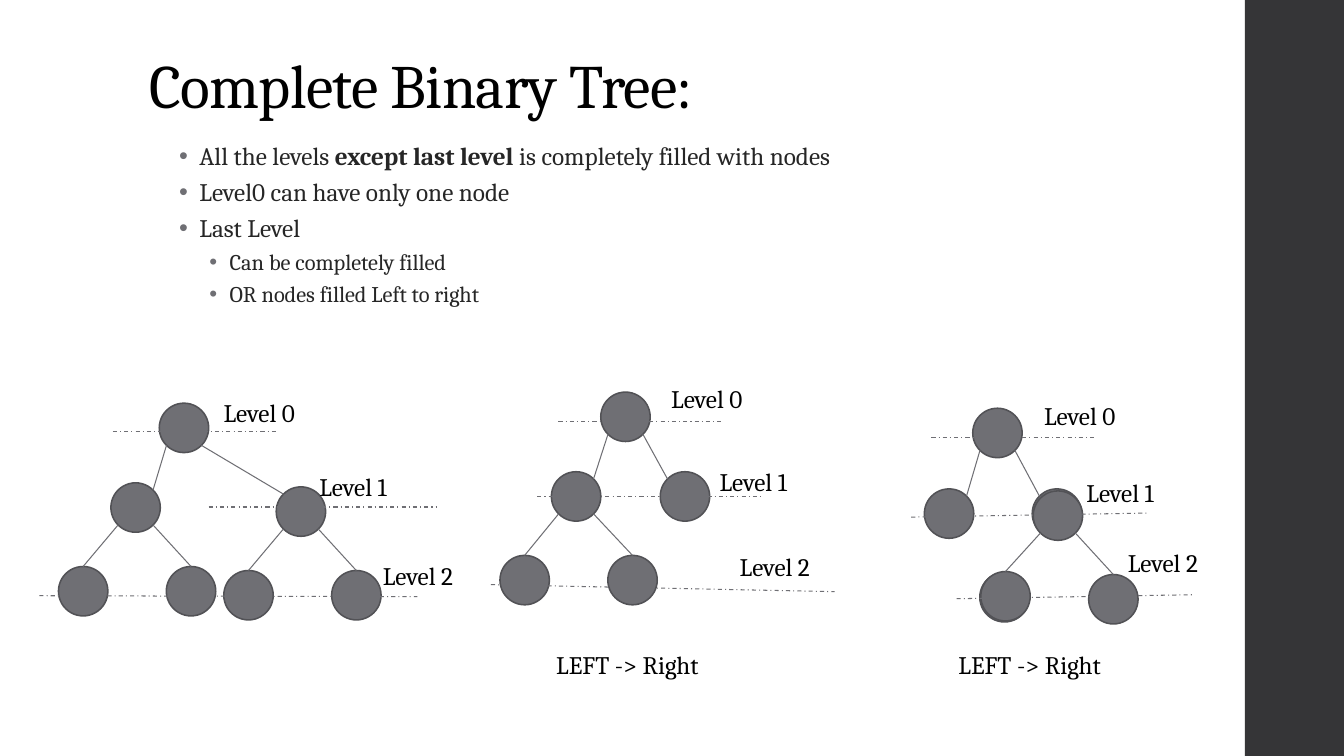
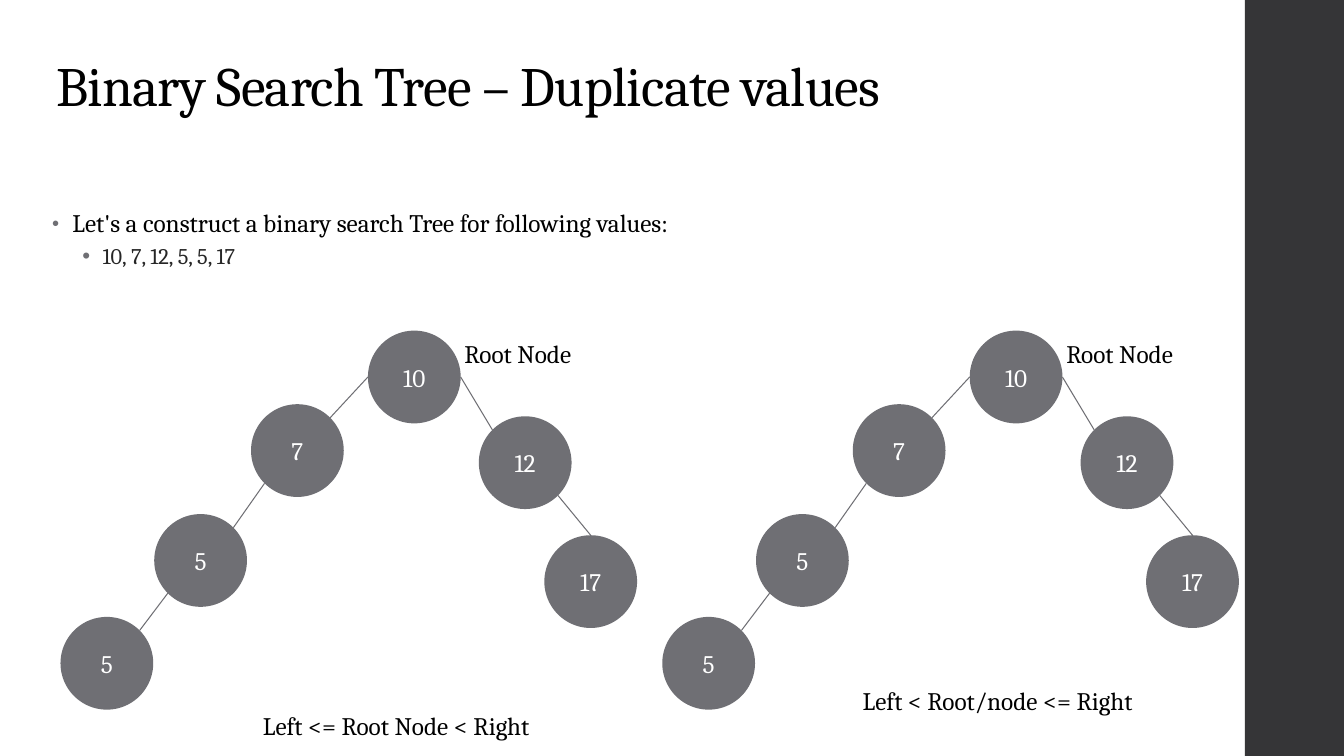
from dataclasses import dataclass
from enum import Enum
from math import cos, radians, sin

from lxml import etree
from pptx import Presentation
from pptx import util as u
from pptx.dml.color import RGBColor
from pptx.enum import dml, shapes, text
from pptx.oxml import ns

FONT = "Cambria"
BLACK = RGBColor(0x00, 0x00, 0x00)
WHITE = RGBColor(0xFF, 0xFF, 0xFF)
INK = RGBColor(0x26, 0x26, 0x26)
GRAY = RGBColor(0x6F, 0x6F, 0x74)
RIM = RGBColor(0x52, 0x52, 0x56)
BAND = RGBColor(0x35, 0x35, 0x37)

CELL = u.Inches(0.1)  # side of one grid square
COLUMNS, ROWS = 133.33, 75
BAND_COLUMN = 123.5
LABEL_HEIGHT = 4


class Site(Enum):
    """Points on a circle, as degrees clockwise from the right."""
    RIGHT = 0
    LOWER_RIGHT = 45
    LOWER_LEFT = 135
    LEFT = 180
    UPPER_LEFT = 225
    TOP = 270
    UPPER_RIGHT = 315


@dataclass(frozen=True)
class Node:
    column: float
    row: float
    value: str = ""


@dataclass(frozen=True)
class Edge:
    parent: int
    child: int
    leave: Site
    arrive: Site


@dataclass(frozen=True)
class Label:
    words: str
    column: float
    row: float
    width: float = 12


@dataclass(frozen=True)
class LevelLine:
    start: tuple[float, float]
    end: tuple[float, float]


@dataclass(frozen=True)
class Tree:
    nodes: tuple[Node, ...]
    edges: tuple[Edge, ...]
    labels: tuple[Label, ...]
    lines: tuple[LevelLine, ...] = ()


@dataclass(frozen=True)
class NodeStyle:
    diameter: float
    rim: float = 0


@dataclass(frozen=True)
class Bullet:
    runs: tuple[tuple[str, bool], ...]  # words, bold
    indent: float
    size: float = 18
    color: RGBColor = INK
    line_spacing: float = 0.9
    after: float = 3
    mark_percent: int = 100


def grid(cells: float) -> int:
    return u.Emu(round(cells * CELL))


def style_font(paragraph, size: float, color: RGBColor, spacing: int = 0) -> None:
    font = paragraph.font
    font.name, font.size, font.color.rgb = FONT, u.Pt(size), color
    if spacing:
        paragraph._p.get_or_add_pPr().get_or_add_defRPr().set("spc", str(spacing))


def add_titled_slide(deck, title: str, column: float, row: float, size: float):
    slide = deck.slides.add_slide(deck.slide_layouts[5])
    heading = slide.shapes.title
    heading.left, heading.top = grid(column), grid(row)
    heading.width, heading.height = grid(106), grid(8.6)
    frame = heading.text_frame
    frame.text = title
    frame.auto_size = text.MSO_AUTO_SIZE.NONE
    frame.vertical_anchor = text.MSO_ANCHOR.BOTTOM
    paragraph = frame.paragraphs[0]
    paragraph.alignment = text.PP_ALIGN.LEFT
    paragraph.line_spacing = 0.9
    style_font(paragraph, size, BLACK, spacing=-50)

    band = slide.shapes.add_shape(
        shapes.MSO_SHAPE.RECTANGLE, grid(BAND_COLUMN), 0,
        grid(COLUMNS - BAND_COLUMN), grid(ROWS))
    band.shadow.inherit = False
    band.fill.solid()
    band.fill.fore_color.rgb = BAND
    band.line.fill.background()
    return slide


def add_bullets(slide, column: float, row: float, width: float, height: float,
                bullets: tuple[Bullet, ...]) -> None:
    frame = slide.shapes.add_textbox(
        grid(column), grid(row), grid(width), grid(height)).text_frame
    frame.word_wrap = True
    for index, bullet in enumerate(bullets):
        paragraph = frame.add_paragraph() if index else frame.paragraphs[0]
        paragraph.line_spacing = bullet.line_spacing
        paragraph.space_before = u.Pt(3)
        paragraph.space_after = u.Pt(bullet.after)
        properties = paragraph._p.get_or_add_pPr()
        properties.set("marL", str(grid(bullet.indent)))
        properties.set("indent", str(-grid(2)))
        mark_color = etree.SubElement(properties, ns.qn("a:buClr"))
        etree.SubElement(mark_color, ns.qn("a:srgbClr"), val=str(GRAY))
        etree.SubElement(properties, ns.qn("a:buSzPct"),
                         val=str(bullet.mark_percent * 1000))
        etree.SubElement(properties, ns.qn("a:buFont"), typeface="Arial")
        etree.SubElement(properties, ns.qn("a:buChar"), char="•")
        style_font(paragraph, bullet.size, bullet.color)
        for words, bold in bullet.runs:
            run = paragraph.add_run()
            run.text = words
            if bold:
                run.font.bold = True


def add_label(slide, label: Label) -> None:
    frame = slide.shapes.add_textbox(
        grid(label.column), grid(label.row),
        grid(label.width), grid(LABEL_HEIGHT)).text_frame
    frame.word_wrap = True
    frame.text = label.words
    style_font(frame.paragraphs[0], 18, BLACK)


def add_line(slide, start: tuple[float, float], end: tuple[float, float]):
    line = slide.shapes.add_connector(
        shapes.MSO_CONNECTOR.STRAIGHT, *map(grid, (*start, *end)))
    line.line.color.rgb = GRAY
    line.line.width = u.Pt(0.75)
    etree.SubElement(line._element.spPr, ns.qn("a:effectLst"))
    return line


def add_node(slide, node: Node, style: NodeStyle) -> None:
    circle = slide.shapes.add_shape(
        shapes.MSO_SHAPE.OVAL, grid(node.column), grid(node.row),
        grid(style.diameter), grid(style.diameter))
    circle.shadow.inherit = False
    circle.fill.solid()
    circle.fill.fore_color.rgb = GRAY
    if style.rim:
        circle.line.color.rgb = RIM
        circle.line.width = u.Pt(style.rim)
    else:
        circle.line.fill.background()
    if node.value:
        frame = circle.text_frame
        frame.text = node.value
        frame.vertical_anchor = text.MSO_ANCHOR.MIDDLE
        paragraph = frame.paragraphs[0]
        paragraph.alignment = text.PP_ALIGN.CENTER
        style_font(paragraph, 18, WHITE)


def site_point(node: Node, site: Site, diameter: float) -> tuple[float, float]:
    radius, angle = diameter / 2, radians(site.value)
    return (node.column + radius * (1 + cos(angle)),
            node.row + radius * (1 + sin(angle)))


def add_tree(slide, tree: Tree, style: NodeStyle) -> None:
    for node in tree.nodes:
        add_node(slide, node, style)
    for edge in tree.edges:
        add_line(slide,
                 site_point(tree.nodes[edge.parent], edge.leave, style.diameter),
                 site_point(tree.nodes[edge.child], edge.arrive, style.diameter))
    for level in tree.lines:
        add_line(slide, level.start, level.end).line.dash_style = (
            dml.MSO_LINE.DASH_DOT)
    for label in tree.labels:
        add_label(slide, label)


def root_edges(left: int, right: int) -> tuple[Edge, Edge]:
    return (Edge(0, left, Site.LOWER_LEFT, Site.UPPER_RIGHT),
            Edge(0, right, Site.LOWER_RIGHT, Site.UPPER_LEFT))


def leaf_edges(parent: int, left: int, right: int) -> tuple[Edge, Edge]:
    return (Edge(parent, left, Site.LOWER_LEFT, Site.TOP),
            Edge(parent, right, Site.LOWER_RIGHT, Site.TOP))


COMPLETE_TREES = (
    Tree((Node(15.8, 40), Node(11, 47.9), Node(27.4, 48.3), Node(5.8, 56.2),
          Node(16.5, 56.2), Node(22.2, 56.6), Node(32.9, 56.6)),
         root_edges(1, 2) + leaf_edges(1, 3, 4) + leaf_edges(2, 5, 6),
         (Label("Level 0", 21.2, 38.9), Label("Level 1", 30.7, 46.3),
          Label("Level 2", 37, 55.1)),
         (LevelLine((11.2, 42.8), (27.4, 42.8)),
          LevelLine((20.7, 50.3), (43.3, 50.3)),
          LevelLine((3.9, 59.1), (41.4, 59.2)))),
    Tree((Node(59.6, 38.9), Node(54.7, 46.8), Node(65.5, 46.8),
          Node(49.6, 55.1), Node(60.3, 55.1)),
         root_edges(1, 2) + leaf_edges(1, 3, 4),
         (Label("Level 0", 65.6, 37.5), Label("Level 1", 70.4, 45.8),
          Label("Level 2", 72.4, 54.2),
          Label("LEFT -> Right", 54.2, 63.9, 19)),
         (LevelLine((55.4, 41.8), (71.7, 41.8)),
          LevelLine((53.3, 49.3), (75.7, 49.3)),
          LevelLine((48.7, 58), (82.8, 58.7)))),
    Tree((Node(96.5, 40.5), Node(91.7, 48.5), Node(102.4, 48.5),
          Node(97.2, 56.8), Node(102.5, 48.7), Node(97.3, 56.7),
          Node(108, 57)),
         root_edges(1, 2) + leaf_edges(4, 5, 6),
         (Label("Level 0", 102.6, 39.2), Label("Level 1", 106.8, 46.9),
          Label("Level 2", 110.9, 53.8),
          Label("LEFT -> Right", 94.1, 63.9, 19)),
         (LevelLine((92.4, 43.4), (108.6, 43.4)),
          LevelLine((90.4, 51.3), (113.9, 50.9)),
          LevelLine((94.9, 59.4), (118.4, 59)))),
)


def search_tree(shift: float, rule: Label) -> Tree:
    places = (("10", 36.5, 32.8), ("7", 24.9, 40.1), ("12", 47.5, 41.3),
              ("5", 15.3, 51), ("17", 54, 53.1), ("5", 6, 61.2))
    return Tree(
        tuple(Node(column + shift, row, value) for value, column, row in places),
        (Edge(0, 1, Site.LEFT, Site.UPPER_RIGHT),
         Edge(0, 2, Site.RIGHT, Site.UPPER_LEFT),
         Edge(1, 3, Site.LOWER_LEFT, Site.UPPER_RIGHT),
         Edge(2, 4, Site.LOWER_RIGHT, Site.TOP),
         Edge(3, 5, Site.LOWER_LEFT, Site.UPPER_RIGHT)),
        (Label("Root Node", 45.1 + shift, 33.1, 14), rule))


def main() -> None:
    deck = Presentation()
    deck.slide_width, deck.slide_height = grid(COLUMNS), grid(ROWS)

    complete = add_titled_slide(deck, "Complete Binary Tree:", 13.8, 4, 44)
    add_bullets(complete, 13.8, 13.8, 94, 18, (
        Bullet((("All the levels ", False), ("except last level ", True),
                ("is completely filled with nodes", False)), 5),
        Bullet((("Level0 can have only one node", False),), 5),
        Bullet((("Last Level", False),), 5),
        Bullet((("Can be completely filled", False),), 8, 16),
        Bullet((("OR nodes filled Left to right", False),), 8, 16)))
    for tree in COMPLETE_TREES:
        add_tree(complete, tree, NodeStyle(4.9, rim=1.1))

    search = add_titled_slide(
        deck, "Binary Search Tree – Duplicate values", 4.6, 3.7, 39.6)
    add_bullets(search, 4.2, 20.3, 106, 8, (
        Bullet((("Let's a construct a binary search Tree for following values:",
                 False),), 2, color=BLACK, line_spacing=0.95, after=2,
               mark_percent=80),
        Bullet((("10, 7, 12, 5, 5, 17", False),), 5, 16)))
    for shift, rule in (
            (0, Label("Left <= Root Node < Right", 25.1, 70, 32)),
            (59.7, Label("Left < Root/node <= Right", 84.6, 67.5, 32))):
        add_tree(search, search_tree(shift, rule), NodeStyle(9.2))

    deck.save("out.pptx")


if __name__ == "__main__":
    main()
